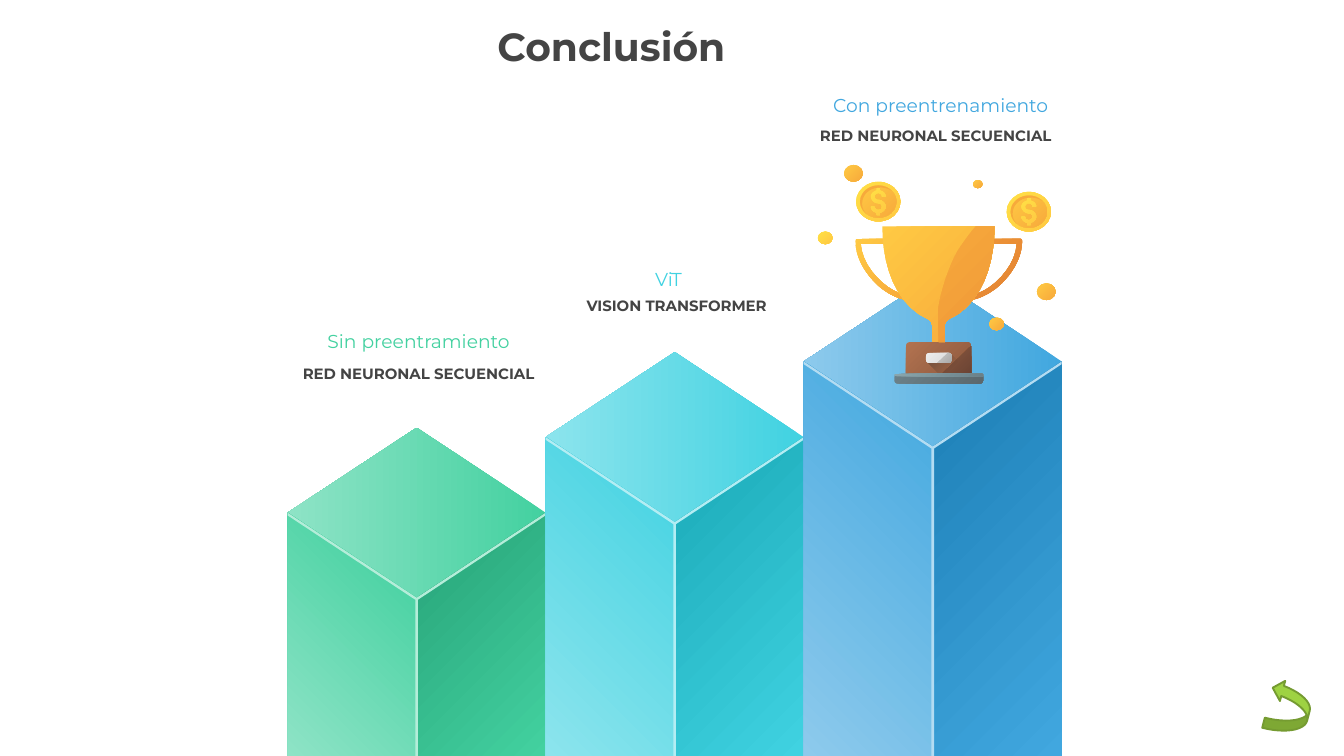
from lxml.etree import SubElement
from pptx import Presentation
from pptx.dml.color import RGBColor
from pptx.enum.shapes import MSO_SHAPE
from pptx.enum.text import MSO_ANCHOR, MSO_AUTO_SIZE, PP_ALIGN
from pptx.oxml.ns import qn
from pptx.util import Inches, Pt

SLIDE_W, SLIDE_H = 20, 11.25
HALF, RISE = 1.92, 1.265          # half width and half height of a column top
FIRST_X, FIRST_Y, STEP = 4.28, 7.63, 1.125
FONT, DARK = "Montserrat", "444444"
GOLD, YELLOW, ORANGE = ("FFC943", "F7AA3C"), ("FFE045", "FFC943"), ("F7AA3C", "EF9737")
CUP_X = 13.97

# light, main and dark tone, edge colour, start of the left gradient
COLUMNS = [
    ("8EE3C6", "43D1A0", "29A67B", "B4EDD9", 10),
    ("8CE4ED", "40D2E1", "1DADBB", "B3EDF3", 0),
    ("8DCAEC", "41A7DF", "1F82B9", "B3DCF2", 0),
]
# text, box, size, bold, colour
LABELS = [
    ("RED NEURONAL SECUENCIAL", (12.09, 1.83, 3.67, 0.37), 16, True, DARK),
    ("VISION TRANSFORMER", (8.32, 4.36, 3.5, 0.37), 16, True, DARK),
    ("ViT", (7.83, 3.93, 4.24, 0.44), 20, False, "40D2E1"),
    ("RED NEURONAL SECUENCIAL", (4.22, 5.38, 4.02, 0.37), 16, True, DARK),
    ("Sin preentramiento", (4.48, 4.86, 3.5, 0.44), 20, False, "43D1A0"),
    ("Con preentrenamiento", (12.25, 1.34, 3.5, 0.44), 20, False, "41A7DF"),
]
# Outlines: two numbers make a line, six make a Bézier curve
HANDLE = [
    (12.77, 3.55), (12.74, 3.55, 12.73, 3.57, 12.73, 3.59),
    (12.73, 3.78, 12.82, 3.98, 12.98, 4.16), (13.12, 4.32, 13.31, 4.43, 13.47, 4.46),
    (13.48, 4.39), (13.19, 4.34, 12.83, 3.98, 12.81, 3.63), (13.15, 3.63), (13.15, 3.55),
]
CUP_RIGHT = [
    (13.97, 5.09), (14.06, 5.09), (14.06, 4.84), (14.06, 4.8, 14.09, 4.77, 14.12, 4.75),
    (14.61, 4.53, 14.8, 3.93, 14.8, 3.37),
]
CUP = [
    (13.97, 3.37), (13.13, 3.37), (13.13, 3.93, 13.32, 4.53, 13.81, 4.75),
    (13.85, 4.77, 13.87, 4.8, 13.87, 4.84), (13.87, 5.09), *CUP_RIGHT,
]
CUP_SHADE = [
    (14.52, 3.37), (14.52, 3.37, 14.47, 3.42, 14.3, 3.66),
    (14.13, 3.89, 13.96, 4.46, 13.96, 4.66), (13.96, 4.86, 13.97, 5.09, 13.97, 5.09),
    *CUP_RIGHT[1:],
]
PLATE_LEFT = [
    (13.83, 5.25), (13.8, 5.25, 13.78, 5.27, 13.78, 5.3), (13.78, 5.35),
    (13.78, 5.38, 13.8, 5.4, 13.83, 5.4), (13.95, 5.4), (14.11, 5.25),
]
PLATE_RIGHT = [
    (13.95, 5.4), (14.11, 5.4), (14.14, 5.4, 14.16, 5.38, 14.16, 5.35), (14.16, 5.3),
    (14.16, 5.27, 14.14, 5.25, 14.11, 5.25),
]
# Relative to the centre of a coin
CRESCENT = [
    (-0.24, 0.03), (-0.24, -0.11, -0.12, -0.21, 0.03, -0.21),
    (0.09, -0.21, 0.16, -0.19, 0.2, -0.16), (0.15, -0.21, 0.08, -0.24, 0, -0.24),
    (-0.15, -0.24, -0.27, -0.13, -0.27, 0), (-0.27, 0.07, -0.23, 0.14, -0.18, 0.18),
    (-0.22, 0.14, -0.24, 0.09, -0.24, 0.03),
]
DOLLAR_HALF = [
    (-0.025, -0.2), (-0.025, -0.165), (-0.07, -0.155, -0.11, -0.12, -0.11, -0.075),
    (-0.11, -0.045, -0.09, -0.02, -0.07, 0), (-0.05, 0.015, -0.03, 0.025, 0, 0.025),
    (0.03, 0.025, 0.055, 0.045, 0.055, 0.075), (0.055, 0.1, 0.03, 0.125, 0, 0.125),
    (-0.03, 0.125, -0.055, 0.1, -0.055, 0.075), (-0.11, 0.075),
    (-0.11, 0.12, -0.07, 0.155, -0.025, 0.165), (-0.025, 0.2),
]


def paint(s, *colors, angle=45, start=0, end=100):
    """Solid fill for one colour, clockwise gradient for two; no line."""
    s.shadow.inherit = False
    s.line.fill.background()
    if len(colors) == 1:
        s.fill.solid()
        s.fill.fore_color.rgb = RGBColor.from_string(colors[0])
        return
    s.fill.gradient()
    s.fill.gradient_angle = 360 - angle
    for stop, color, position in zip(s.fill.gradient_stops, colors, (start, end)):
        stop.color.rgb = RGBColor.from_string(color)
        stop.position = position / 100


def transform(outline, dx=0, dy=0, sx=1, sy=1):
    return [tuple(v * (sy if i % 2 else sx) + (dy if i % 2 else dx)
                  for i, v in enumerate(seg)) for seg in outline]


def flatten(outline, steps=10):
    points = [outline[0]]
    for seg in outline[1:]:
        if len(seg) == 2:
            points.append(seg)
            continue
        curve = [points[-1], seg[:2], seg[2:4], seg[4:]]
        for t in (n / steps for n in range(1, steps + 1)):
            weights = ((1 - t) ** 3, 3 * t * (1 - t) ** 2, 3 * t * t * (1 - t), t ** 3)
            points.append(tuple(sum(w * p[axis] for w, p in zip(weights, curve))
                                for axis in (0, 1)))
    return points


def add_outline(shapes, outline, *colors, **gradient):
    points = [(Inches(x), Inches(y)) for x, y in flatten(outline)]
    builder = shapes.build_freeform(*points[0])
    builder.add_line_segments(points[1:], close=True)
    s = builder.convert_to_shape()
    paint(s, *colors, **gradient)
    return s


def add_preset(shapes, kind, box, *colors, adjust=None):
    s = shapes.add_shape(kind, *map(Inches, box))
    if adjust is not None:
        s.adjustments[0] = adjust
    paint(s, *colors)
    return s


def add_oval(shapes, cx, cy, w, h, colors):
    add_preset(shapes, MSO_SHAPE.OVAL, (cx - w / 2, cy - h / 2, w, h), *colors)


def write(s, text, size, bold, color):
    p = s.text_frame.paragraphs[0]
    p.alignment = PP_ALIGN.CENTER
    r = p.add_run()
    r.text = text
    for name, value in dict(name=FONT, size=Pt(size), bold=bold).items():
        setattr(r.font, name, value)
    r.font.color.rgb = RGBColor.from_string(color)
    return p


def add_title(s):
    s.left, s.top, s.width, s.height = map(Inches, (2.64, 0.45, 13.08, 0.65))
    settings = dict(margin_left=0, margin_right=0, margin_top=0, margin_bottom=0,
                    vertical_anchor=MSO_ANCHOR.TOP, auto_size=MSO_AUTO_SIZE.NONE)
    for name, value in settings.items():
        setattr(s.text_frame, name, value)
    write(s, "Conclusión ", 42, True, DARK).line_spacing = Pt(42)


def add_label(shapes, text, box, *style):
    s = shapes.add_textbox(*map(Inches, box))
    s.text_frame.word_wrap = True
    s.text_frame.auto_size = MSO_AUTO_SIZE.SHAPE_TO_FIT_TEXT
    write(s, text, *style)


def add_column(shapes, index, light, main, dark, edge, start):
    left, y = FIRST_X + 2 * HALF * index, FIRST_Y - STEP * index
    mid, right, front = left + HALF, left + 2 * HALF, y + RISE
    add_outline(shapes, [(mid, y - RISE), (left, y), (mid, front), (right, y)],
                main, light, angle=180)
    add_outline(shapes, [(left, SLIDE_H), (mid, SLIDE_H), (mid, front), (left, y)],
                main, light, angle=135, start=start)
    add_outline(shapes, [(mid, front), (mid, SLIDE_H), (right, SLIDE_H), (right, y)],
                dark, main, start=10)
    # Light edge along the front
    add_outline(shapes, [
        (mid, front), (left, y), (left, y + 0.04), (mid - 0.02, front + 0.03),
        (mid - 0.02, SLIDE_H), (mid + 0.02, SLIDE_H), (mid + 0.02, front + 0.03),
        (right, y + 0.04), (right, y)], edge)


def add_trophy(shapes):
    add_outline(shapes, HANDLE, *GOLD)
    add_outline(shapes, transform(HANDLE, dx=2 * CUP_X, sx=-1), "EF9737", "E28133")
    add_outline(shapes, CUP, *GOLD)
    # Pedestal with its name plate
    add_preset(shapes, MSO_SHAPE.ROUND_2_SAME_RECTANGLE, (13.48, 5.09, 0.97, 0.47),
               "B27350", "8E593F", adjust=0.13)
    add_outline(shapes, [(14.02, 5.56), (14.45, 5.56), (14.45, 5.15)], "8E593F", "6B4434")
    shade = add_outline(shapes, [(13.8, 5.39), (14.09, 5.67), (14.33, 5.44), (14.14, 5.26)],
                        "2A2A2A", "2A2A2A", end=62)
    for color, alpha in zip(shade.fill._xPr.iter(qn("a:srgbClr")), ("50000", "0")):
        SubElement(color, qn("a:alpha"), val=alpha)
    add_outline(shapes, PLATE_LEFT, "EDEDED", "DBDBDB")
    add_outline(shapes, PLATE_RIGHT, "CCCAC8", "AAAAAA")
    # Foot and its highlight
    add_preset(shapes, MSO_SHAPE.ROUNDED_RECTANGLE, (13.31, 5.56, 1.32, 0.15),
               "6B8189", "5C686D", adjust=0.33)
    add_preset(shapes, MSO_SHAPE.ROUND_2_SAME_RECTANGLE, (13.31, 5.56, 1.32, 0.04),
               "8AA6AD", "6B8189", adjust=0.5)
    add_outline(shapes, CUP_SHADE, *ORANGE)


def add_coin(shapes, cx, cy):
    add_oval(shapes, cx, cy, 0.66, 0.59, YELLOW)
    add_oval(shapes, cx, cy, 0.54, 0.48, GOLD)
    add_outline(shapes, transform(CRESCENT, cx, cy), "F7AA3B")
    dollar = DOLLAR_HALF + transform(DOLLAR_HALF, sx=-1, sy=-1)
    add_outline(shapes, transform(dollar, cx, cy), *YELLOW)


def add_back_arrow(shapes):
    s = add_preset(shapes, MSO_SHAPE.CURVED_RIGHT_ARROW, (18.87, 10.15, 0.62, 0.77), "9ED242")
    s.rotation = 194.6
    s.line.color.rgb = RGBColor.from_string("759B31")
    s.line.width = Pt(2)


def main():
    prs = Presentation()
    prs.slide_width, prs.slide_height = Inches(SLIDE_W), Inches(SLIDE_H)
    slide = prs.slides.add_slide(prs.slide_layouts[5])
    shapes = slide.shapes
    for index, column in enumerate(COLUMNS):
        add_column(shapes, index, *column)
    add_title(shapes.title)
    for label in LABELS:
        add_label(shapes, *label)
    add_trophy(shapes)
    # Confetti around the cup
    for cx, cy, w, h, colors in [
            (14.83, 4.82, 0.22, 0.19, GOLD), (12.7, 2.58, 0.28, 0.25, GOLD),
            (15.57, 4.34, 0.28, 0.25, GOLD), (14.55, 2.74, 0.14, 0.12, GOLD),
            (12.28, 3.54, 0.22, 0.19, YELLOW)]:
        add_oval(shapes, cx, cy, w, h, colors)
    for center in ((15.31, 3.15), (13.07, 3)):
        add_coin(shapes, *center)
    add_back_arrow(shapes)
    prs.save("out.pptx")


if __name__ == "__main__":
    main()
